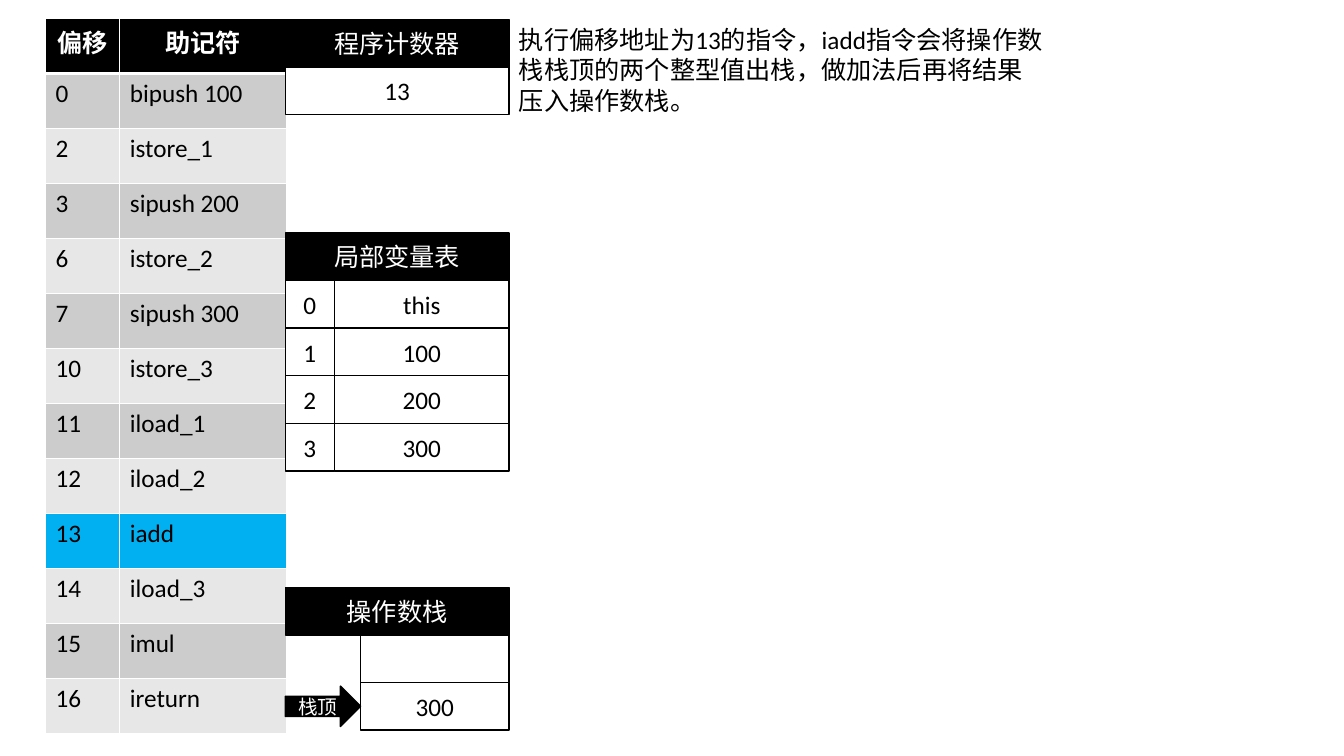
from lxml.etree import SubElement
from pptx import Presentation
from pptx.dml.color import RGBColor
from pptx.enum.shapes import MSO_SHAPE as Shape
from pptx.enum.text import MSO_ANCHOR as Anchor, MSO_AUTO_SIZE as AutoSize, PP_ALIGN as Align
from pptx.oxml.ns import qn
from pptx.util import Cm, Pt

BLACK = RGBColor(0x00, 0x00, 0x00)
WHITE = RGBColor(0xFF, 0xFF, 0xFF)
DARK_BAND = RGBColor(0xCC, 0xCC, 0xCC)
LIGHT_BAND = RGBColor(0xE7, 0xE7, 0xE7)
CURRENT = RGBColor(0x00, 0xB0, 0xF0)

INSTRUCTIONS = [
    ("0", "bipush 100"), ("2", "istore_1"), ("3", "sipush 200"), ("6", "istore_2"),
    ("7", "sipush 300"), ("10", "istore_3"), ("11", "iload_1"), ("12", "iload_2"),
    ("13", "iadd"), ("14", "iload_3"), ("15", "imul"), ("16", "ireturn"),
]
PROGRAM_COUNTER = "13"
LOCAL_VARIABLES = ["this", "100", "200", "300"]
OPERAND_STACK = ["", "300"]
EXPLANATION = "执行偏移地址为13的指令，iadd指令会将操作数栈栈顶的两个整型值出栈，做加法后再将结果压入操作数栈。"

PANEL_LEFT, PANEL_WIDTH, ROW = 7.19, 5.64, 1.2
INDEX_WIDTH, ARROW_WIDTH, ARROW_HEIGHT = 1.24, 1.9, 1.02


class SlideBuilder:
    def __init__(self, slide):
        self.slide = slide
        self.font = {"name": "Calibri", "size": Pt(18), "bold": False}

    def fill_text(self, frame, text, color=BLACK, align=Align.LEFT, **changes):
        paragraph = frame.paragraphs[0]
        paragraph.alignment = align
        run = paragraph.add_run()
        run.text = text
        for name, value in {**self.font, **changes}.items():
            setattr(run.font, name, value)
        run.font.color.rgb = color

    def group(self):
        return self.slide.shapes.add_group_shape()

    def box(self, group, left, top, width, text, height=ROW, fill=WHITE, kind=Shape.RECTANGLE, **changes):
        shape = group.shapes.add_shape(kind, Cm(left), Cm(top), Cm(width), Cm(height))
        shape.shadow.inherit = False
        shape.fill.solid()
        shape.fill.fore_color.rgb = fill
        shape.line.color.rgb = BLACK
        shape.line.width = Pt(1)
        shape.text_frame.vertical_anchor = Anchor.MIDDLE
        if text:
            color = WHITE if fill == BLACK else BLACK
            self.fill_text(shape.text_frame, text, color, Align.CENTER, **changes)

    def panel(self, top, title):
        group = self.group()
        self.box(group, PANEL_LEFT, top, PANEL_WIDTH, title, fill=BLACK)
        return group

    def text(self, left, top, width, height, text):
        frame = self.slide.shapes.add_textbox(Cm(left), Cm(top), Cm(width), Cm(height)).text_frame
        frame.word_wrap = True
        frame.auto_size = AutoSize.SHAPE_TO_FIT_TEXT
        self.fill_text(frame, text)

    def border(self, cell, bottom):
        properties = cell._tc.get_or_add_tcPr()
        widths = {"lnL": 1, "lnR": 1, "lnT": 1, "lnB": bottom}
        for position, (side, width) in enumerate(widths.items()):
            line = SubElement(properties, qn(f"a:{side}"), w=str(Pt(width)))
            SubElement(SubElement(line, qn("a:solidFill")), qn("a:srgbClr"), val=str(WHITE))
            properties.insert(position, line)

    def table(self, left, top, widths, height, header, rows, current):
        lines = [header, *rows]
        table = self.slide.shapes.add_table(
            len(lines), len(widths), Cm(left), Cm(top), Cm(sum(widths)), Cm(height)).table
        table.first_row = table.horz_banding = False
        for column, width in zip(table.columns, widths):
            column.width = Cm(width)
        for row, values in enumerate(lines):
            heading = row == 0
            fill = DARK_BAND if row % 2 else LIGHT_BAND
            if heading:
                fill = BLACK
            elif values[0] == current:
                fill = CURRENT
            for column, value in enumerate(values):
                cell = table.cell(row, column)
                cell.fill.solid()
                cell.fill.fore_color.rgb = fill
                self.border(cell, 3 if heading else 1)
                self.fill_text(cell.text_frame, value, WHITE if heading else BLACK,
                               Align.CENTER if heading else Align.LEFT, bold=heading)


def main():
    presentation = Presentation()
    presentation.slide_width, presentation.slide_height = Cm(33.87), Cm(19.05)
    builder = SlideBuilder(presentation.slides.add_slide(presentation.slide_layouts[6]))

    builder.table(1.15, 0.47, [1.87, 4.19], 18.01, ("偏移", "助记符"), INSTRUCTIONS, PROGRAM_COUNTER)

    top = 5.87
    variables = builder.panel(top, "局部变量表")
    for index, value in enumerate(LOCAL_VARIABLES):
        row_top = top + (index + 1) * ROW
        builder.box(variables, PANEL_LEFT + INDEX_WIDTH, row_top, PANEL_WIDTH - INDEX_WIDTH, value)
        builder.box(variables, PANEL_LEFT, row_top, INDEX_WIDTH, str(index))

    top = 0.49
    counter = builder.panel(top, "程序计数器")
    builder.box(counter, PANEL_LEFT, top + ROW, PANEL_WIDTH, PROGRAM_COUNTER)

    top = 14.8
    stack = builder.panel(top, "操作数栈")
    for index, value in enumerate(OPERAND_STACK):
        row_top = top + (index + 1) * ROW
        builder.box(stack, PANEL_LEFT + ARROW_WIDTH, row_top, PANEL_WIDTH - ARROW_WIDTH, value)
    builder.box(stack, PANEL_LEFT, row_top + (ROW - ARROW_HEIGHT) / 2, ARROW_WIDTH, "栈顶",
                height=ARROW_HEIGHT, fill=BLACK, kind=Shape.RIGHT_ARROW, size=Pt(14))

    builder.text(PANEL_LEFT + PANEL_WIDTH, 0.49, 13.77, 2.56, EXPLANATION)
    presentation.save("out.pptx")


if __name__ == "__main__":
    main()
